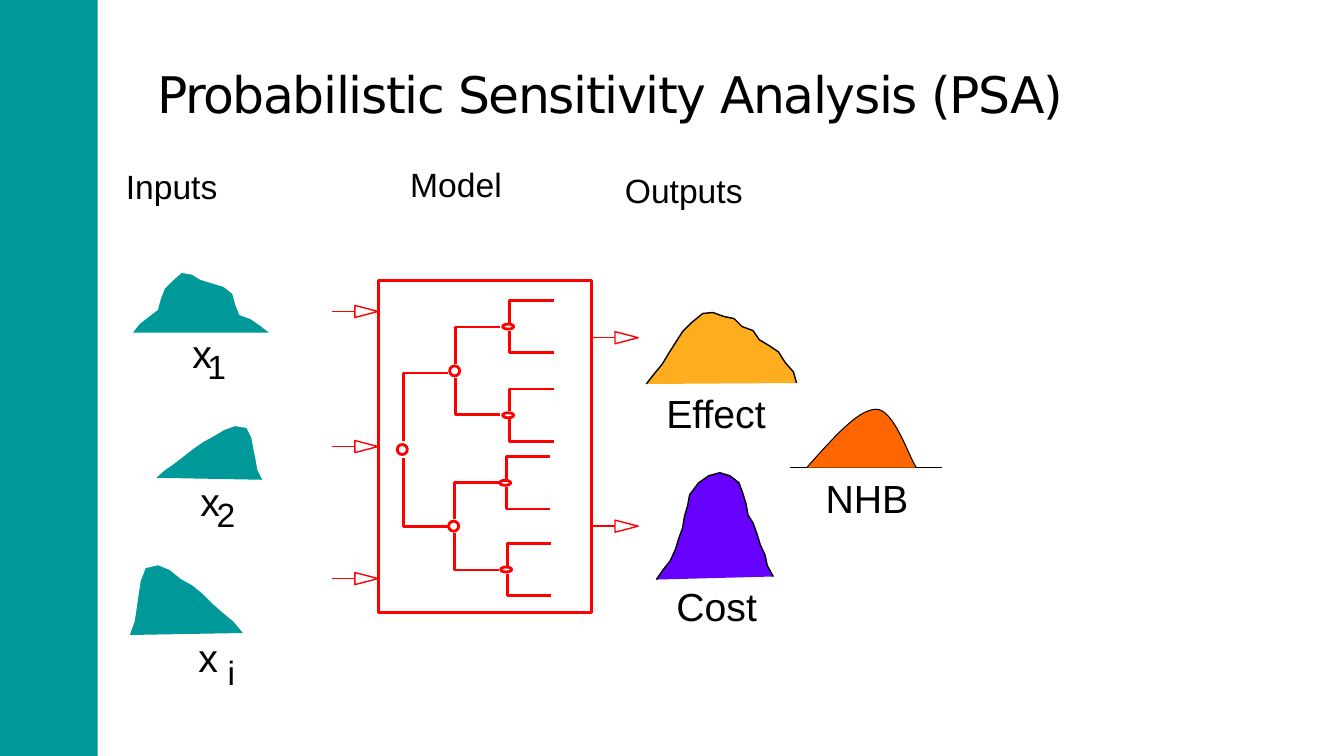
from lxml.etree import SubElement
from pptx import Presentation
from pptx.dml.color import RGBColor as Color
from pptx.enum.shapes import MSO_CONNECTOR as Link, MSO_SHAPE as Preset
from pptx.enum.text import MSO_ANCHOR as Anchor, MSO_AUTO_SIZE as Fit, PP_ALIGN as Align
from pptx.oxml.ns import qn
from pptx.util import Inches, Pt

TITLE = "Probabilistic Sensitivity Analysis (PSA)"

# text, left, top, width, height, size name, wrap
LABELS = [
    ("Inputs", 1.15, 1.6, 1.89, 0.51, "small", True),
    ("Model", 3.97, 1.58, 1.89, 0.51, "small", True),
    ("Outputs", 6.1, 1.64, 2.34, 0.51, "small", True),
    ("x", 1.81, 3.22, 0.4, 0.57, "large", False),
    ("1", 1.96, 3.38, 0.43, 0.51, "small", True),
    ("x", 1.89, 4.69, 0.4, 0.57, "large", False),
    ("2", 2.05, 4.85, 0.43, 0.51, "small", True),
    ("x", 1.87, 6.23, 0.44, 0.57, "large", True),
    ("i", 2.16, 6.42, 0.28, 0.51, "small", False),
    ("Effect", 6.51, 3.81, 1.32, 0.57, "large", True),
    ("Cost", 6.61, 5.73, 1.11, 0.57, "large", True),
    ("NHB", 8.09, 4.66, 1.02, 0.57, "large", False),
]

X1 = [(1.31, 3.3), (1.38, 3.21), (1.47, 3.14), (1.56, 3.07), (1.59, 2.96), (1.63, 2.86),
      (1.72, 2.77), (1.8, 2.7), (1.91, 2.72), (1.99, 2.77), (2.12, 2.81), (2.22, 2.84),
      (2.31, 2.91), (2.34, 3.02), (2.38, 3.12), (2.49, 3.16), (2.59, 3.23), (2.68, 3.3)]
X2 = [(1.54, 4.74), (1.63, 4.66), (1.73, 4.59), (1.82, 4.52), (1.91, 4.45), (2.01, 4.38),
      (2.12, 4.32), (2.22, 4.26), (2.33, 4.22), (2.45, 4.24), (2.5, 4.34), (2.52, 4.45),
      (2.54, 4.55), (2.56, 4.66), (2.61, 4.76)]
XI = [(2.42, 6.28), (2.32, 6.16), (2.21, 6.07), (2.12, 5.99), (2.02, 5.89), (1.91, 5.8),
      (1.8, 5.74), (1.69, 5.65), (1.57, 5.6), (1.44, 5.63), (1.39, 5.76), (1.37, 5.89),
      (1.35, 6.03), (1.33, 6.16), (1.28, 6.3)]
COST = [(6.51, 5.75), (6.58, 5.65), (6.65, 5.56), (6.7, 5.45), (6.73, 5.35), (6.77, 5.24),
        (6.79, 5.12), (6.82, 5.02), (6.84, 4.91), (6.93, 4.79), (7.03, 4.72), (7.14, 4.69),
        (7.24, 4.72), (7.33, 4.79), (7.37, 4.9), (7.4, 5), (7.42, 5.11), (7.47, 5.19),
        (7.51, 5.3), (7.54, 5.4), (7.59, 5.51), (7.61, 5.61), (7.67, 5.72)]
EFFECT = [(6.41, 3.81), (6.48, 3.72), (6.57, 3.61), (6.63, 3.51), (6.7, 3.4), (6.77, 3.29),
          (6.86, 3.2), (6.97, 3.11), (7.07, 3.1), (7.18, 3.14), (7.28, 3.16), (7.36, 3.24),
          (7.47, 3.28), (7.53, 3.37), (7.63, 3.43), (7.72, 3.49), (7.79, 3.6), (7.87, 3.69),
          (7.9, 3.8)]
NHB_ARCS = [[(8, 4.64), (8.26, 4.35), (8.51, 4.06), (8.69, 4.06)],
            [(8.69, 4.06), (8.87, 4.06), (9.02, 4.55), (9.09, 4.64)]]
NHB_AXIS = (7.84, 9.34, 4.64)

MODEL = (3.75, 2.78, 5.87, 6.08)
INPUT_ROWS, OUTPUT_ROWS = [3.09, 4.43, 5.74], [3.35, 5.22]
ARROW_HALF, HEAD_HALF, ARM = 0.23, 0.06, 0.44

# gap, rise, node width, node height, then spine positions
FORKS = [
    (0.08, 0.76, 0.1, 0.1, [(4, 4.46)]),
    (0.07, 0.435, 0.1, 0.1, [(4.52, 3.68), (4.51, 5.22)]),
    (0.04, 0.26, 0.11, 0.05, [(5.05, 3.24), (5.05, 4.12), (5.02, 4.79), (5.03, 5.65)]),
]

THEME = {
    "teal": Color.from_string("009999"), "white": Color.from_string("FFFFFF"),
    "red": Color.from_string("FF0000"), "black": Color.from_string("000000"),
    "violet": Color.from_string("6600FF"), "amber": Color.from_string("FDAD1E"),
    "orange": Color.from_string("FF6600"),
    "title": Pt(36), "large": Pt(28), "small": Pt(24),
    "body_font": "Arial", "title_font": "DejaVu Sans",
}


def apply(target, formats):
    for name, value in formats.items():
        setattr(target, name, value)


def paint(shape, fill, line, width=1):
    shape.shadow.inherit = False
    if fill:
        shape.fill.solid()
        shape.fill.fore_color.rgb = THEME[fill]
    else:
        shape.fill.background()
    if line:
        shape.line.color.rgb = THEME[line]
        shape.line.width = Pt(width)
    else:
        shape.line.fill.background()


def add_preset(page, preset, box, fill, line, width=1):
    paint(page.shapes.add_shape(preset, *map(Inches, box)), fill, line, width)


def add_outline(page, points, fill, line, width=1, close=False):
    start, *rest = [(Inches(x), Inches(y)) for x, y in points]
    builder = page.shapes.build_freeform(*start)
    builder.add_line_segments(rest, close=close)
    paint(builder.convert_to_shape(), fill, line, width)


def add_rule(page, left, right, y, color, width):
    rule = page.shapes.add_connector(Link.STRAIGHT, *map(Inches, (left, y, right, y)))
    rule.line.color.rgb = THEME[color]
    rule.line.width = Pt(width)
    SubElement(rule.element.spPr, qn("a:effectLst"))


def add_arrow(page, left, y):
    neck, tip = left + ARROW_HALF, left + 2 * ARROW_HALF
    add_rule(page, left, neck, y, "red", 1)
    head = [(tip, y), (neck, y - HEAD_HALF), (neck, y + HEAD_HALF)]
    add_outline(page, head, "white", "red", close=True)


def add_fork(page, x, y, gap, rise, width, height):
    node = (x - 0.01 - width / 2, y - height / 2, width, height)
    add_preset(page, Preset.OVAL, node, None, "red", 2)
    for side in (-1, 1):
        end = y + side * rise
        add_outline(page, [(x, y + side * gap), (x, end), (x + ARM, end)], None, "red", 2)


def add_label(page, text, left, top, width, height, size, wrap):
    box = page.shapes.add_textbox(*map(Inches, (left, top, width, height)))
    apply(box.text_frame, {"word_wrap": wrap, "auto_size": Fit.SHAPE_TO_FIT_TEXT})
    span = box.text_frame.paragraphs[0].add_run()
    span.text = text
    apply(span.font, {"name": THEME["body_font"], "size": THEME[size]})
    span.font.color.rgb = THEME["black"]


def add_title(page):
    title = page.shapes.title
    apply(title, {"left": Inches(1.4), "top": Inches(0.3),
                  "width": Inches(9.3), "height": Inches(1.25)})
    margins = dict.fromkeys(["margin_left", "margin_top", "margin_right", "margin_bottom"], Inches(0.1))
    apply(title.text_frame, {"vertical_anchor": Anchor.MIDDLE, "word_wrap": True,
                             "auto_size": Fit.NONE, **margins})
    para = title.text_frame.paragraphs[0]
    para.alignment = Align.CENTER
    span = para.add_run()
    span.text = TITLE
    apply(span.font, {"name": THEME["title_font"], "size": THEME["title"]})
    span.font.color.rgb = THEME["black"]
    span.font._element.set("spc", "-100")


def bezier(arc, steps=16):
    weights = (1, 3, 3, 1)
    return [tuple(sum(w * (1 - t) ** (3 - i) * t ** i * point[axis]
                      for i, (w, point) in enumerate(zip(weights, arc))) for axis in (0, 1))
            for t in (step / steps for step in range(steps + 1))]


def main():
    """Build the probabilistic sensitivity analysis slide."""
    deck = Presentation()
    apply(deck, {"slide_width": Inches(13.33), "slide_height": Inches(7.5)})
    page = deck.slides.add_slide(deck.slide_layouts[5])
    add_preset(page, Preset.RECTANGLE, (0, 0, 0.97, 7.5), "teal", None)
    add_title(page)

    for points in (X1, X2, XI):
        add_outline(page, points, "teal", "white")
    for points, fill in ((COST, "violet"), (EFFECT, "amber")):
        add_outline(page, points, fill, "black")
    add_rule(page, *NHB_AXIS, "black", 0.75)
    add_outline(page, [point for arc in NHB_ARCS for point in bezier(arc)], "orange", "black", 0.75)

    left, top, right, bottom = MODEL
    add_preset(page, Preset.RECTANGLE, (left, top, right - left, bottom - top), None, "red", 2)
    for y in INPUT_ROWS:
        add_arrow(page, left - 2 * ARROW_HALF, y)
    for y in OUTPUT_ROWS:
        add_arrow(page, right, y)
    for *sizes, spines in FORKS:
        for x, y in spines:
            add_fork(page, x, y, *sizes)
    for label in LABELS:
        add_label(page, *label)
    deck.save("out.pptx")


if __name__ == "__main__":
    main()
